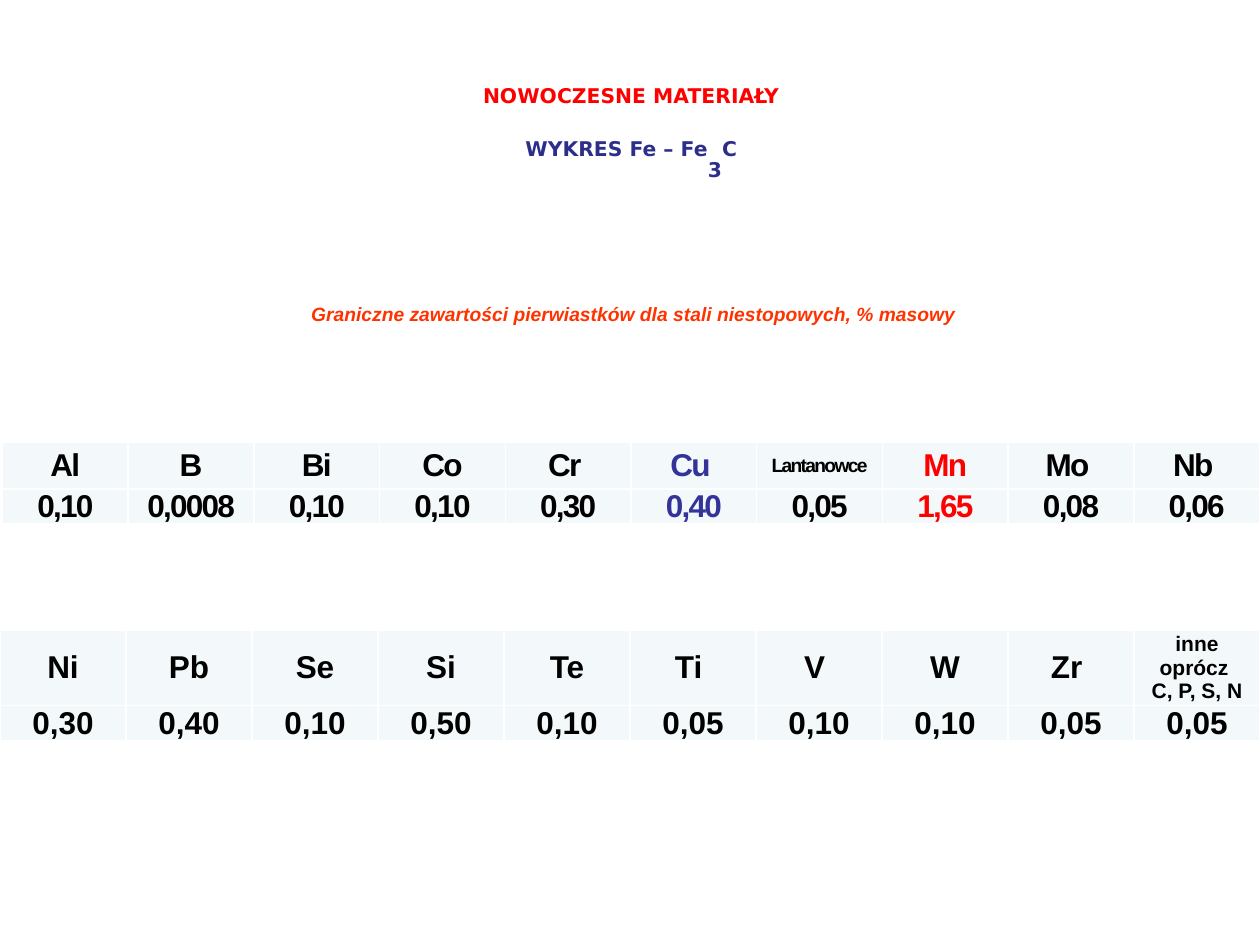
from lxml.etree import SubElement
from pptx import Presentation
from pptx.dml.color import RGBColor
from pptx.enum.text import MSO_ANCHOR, MSO_AUTO_SIZE, PP_ALIGN
from pptx.oxml.ns import qn
from pptx.util import Inches, Pt

RED, BLUE, BLACK = "FF0000", "333399", "000000"
RAISED, LOWERED = 36, -25


def format_text(frame, size, color, name="Arial", italic=False):
    for para in frame.paragraphs:
        para.alignment = PP_ALIGN.CENTER
        for span in para.runs:
            span.font.name = name
            span.font.size = Pt(size)
            span.font.bold = True
            span.font.italic = italic
            span.font.color.rgb = RGBColor.from_string(color)


def set_baseline(span, percent):
    span._r.get_or_add_rPr().set("baseline", str(percent * 1000))


deck = Presentation()
deck.slide_width, deck.slide_height = Inches(10), Inches(7.5)
page = deck.slides.add_slide(deck.slide_layouts[5])

# Element limits: (left, top, row heights, letter spacing in pt, elements, limits)
tables = [
    (0.02, 3.51, (0.37, 0.28), -1,
     ["Al", "B", "Bi", "Co", "Cr ", "Cu ", "Lantanowce", "Mn", "Mo ", "Nb "],
     ["0,10", "0,0008", "0,10", "0,10", "0,30", "0,40", "0,05", "1,65", "0,08", "0,06"]),
    (0, 5, (0.6, 0.28), 0,
     ["Ni", "Pb", "Se", "Si", "Te", "Ti ", "V ", "W", "Zr ", "inne oprócz \nC, P, S, N"],
     ["0,30", "0,40", "0,10", "0,50", "0,10", "0,05", "0,10", "0,10", "0,05", "0,05"]),
]
column_colors = {"Cu ": BLUE, "Mn": RED}
small_sizes = {"Lantanowce": 11, "inne oprócz \nC, P, S, N": 12}

for left, top, heights, spacing, elements, limits in tables:
    table = page.shapes.add_table(2, len(elements), Inches(left), Inches(top),
                                  Inches(10 - left), Inches(sum(heights))).table
    for row, height in zip(table.rows, heights):
        row.height = Inches(height)
    for row_index, texts in enumerate((elements, limits)):
        for column_index, text in enumerate(texts):
            cell = table.cell(row_index, column_index)
            cell.text = text
            cell.vertical_anchor = MSO_ANCHOR.MIDDLE
            cell.margin_left = cell.margin_right = Inches(0.05)
            cell.margin_top = cell.margin_bottom = 0
            color = column_colors.get(elements[column_index], BLACK)
            format_text(cell.text_frame, small_sizes.get(text, 18), color)
            if spacing:
                for span in cell.text_frame.paragraphs[0].runs:
                    span._r.get_or_add_rPr().set("spc", str(spacing * 100))
            properties = cell._tc.get_or_add_tcPr()
            for side in ("a:lnL", "a:lnR", "a:lnT", "a:lnB"):
                border = SubElement(properties, qn(side), w=str(Pt(1)))
                fill = SubElement(border, qn("a:solidFill"))
                SubElement(fill, qn("a:srgbClr"), val="FFFFFF")
            cell.fill.solid()
            cell.fill.fore_color.rgb = RGBColor.from_string("F3F9FA")

caption = page.shapes.add_textbox(Inches(0), Inches(2.33), Inches(10.06), Inches(0.42))
caption.text_frame.word_wrap = True
caption.text_frame.text = "Graniczne zawartości pierwiastków dla stali niestopowych, % masowy"
format_text(caption.text_frame, 19, "FF3300", italic=True)
set_baseline(caption.text_frame.paragraphs[0].runs[0], RAISED)

subtitle = page.shapes.add_textbox(Inches(0.76), Inches(0.96), Inches(8.5), Inches(0.58))
title = page.shapes.title
title.left, title.top = Inches(0.76), Inches(0.52)
title.width, title.height = Inches(8.5), Inches(0.58)

headings = [
    (subtitle, "2D2D8A", [("WYKRES Fe – Fe", RAISED), ("3", LOWERED), ("C", RAISED)]),
    (title, RED, [("NOWOCZESNE MATERIAŁY", RAISED)]),
]
for box, color, parts in headings:
    frame = box.text_frame
    frame.word_wrap = True
    frame.auto_size = MSO_AUTO_SIZE.NONE
    frame.vertical_anchor = MSO_ANCHOR.MIDDLE
    for text, baseline in parts:
        span = frame.paragraphs[0].add_run()
        span.text = text
        set_baseline(span, baseline)
    format_text(frame, 20, color, "DejaVu Sans")

deck.save("out.pptx")
